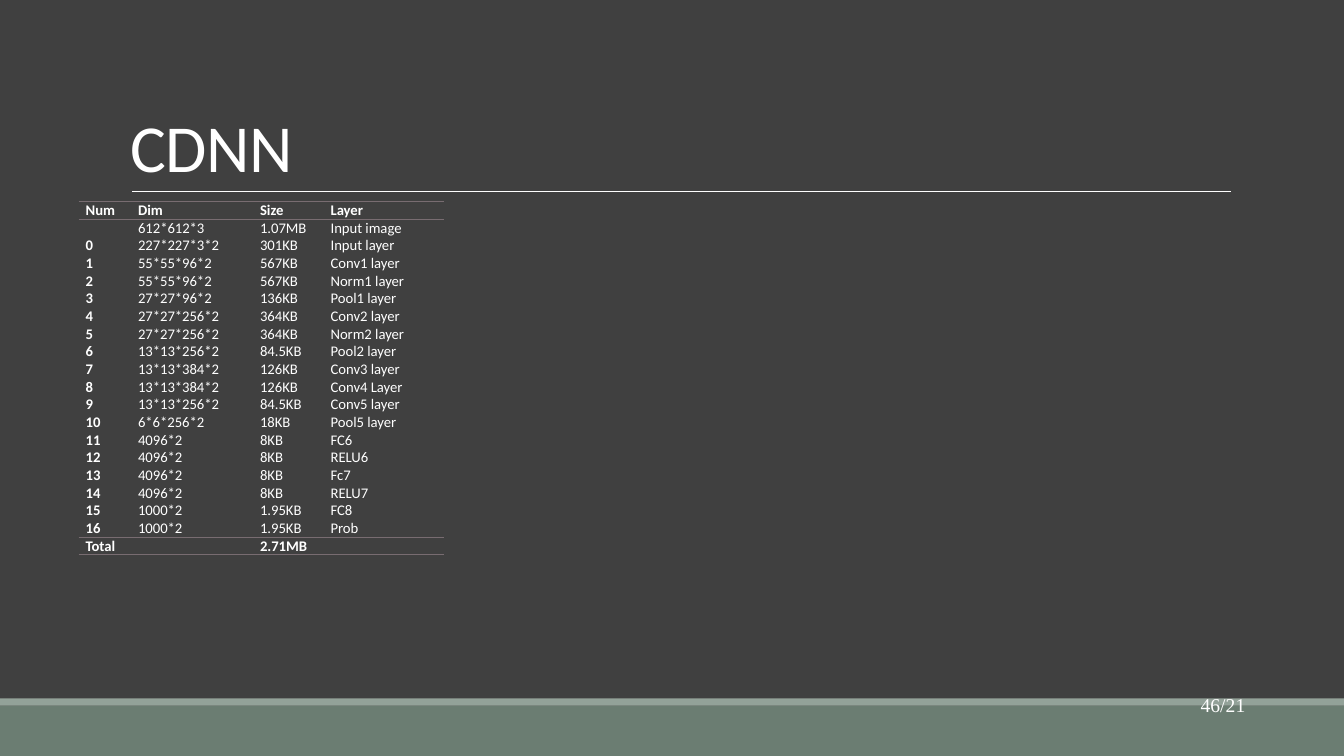
from lxml import etree
from pptx import Presentation
from pptx import util as u
from pptx.dml.color import RGBColor
from pptx.enum import shapes, text
from pptx.oxml import ns

BACKGROUND = RGBColor(0x40, 0x40, 0x40)
BAND = RGBColor(0x6B, 0x7D, 0x72)
BAND_EDGE = RGBColor(0x93, 0xA2, 0x99)
TABLE_RULE = RGBColor(0x78, 0x6C, 0x71)
WHITE = RGBColor(0xFF, 0xFF, 0xFF)

WIDTH, HEIGHT = 13.33, 7.5
NO_STYLE = "{2D5ABB26-0587-4C30-8999-92F81FD0307C}"

COLUMNS = (0.52, 1.21, 0.7, 1.19)
HEADER = ("Num", "Dim", "Size", "Layer ")
LAYERS = (
    ("612*612*3", "1.07MB", "Input image"),
    ("227*227*3*2", "301KB", "Input layer"),
    ("55*55*96*2", "567KB", "Conv1 layer"),
    ("55*55*96*2", "567KB", "Norm1 layer"),
    ("27*27*96*2", "136KB", "Pool1 layer"),
    ("27*27*256*2", "364KB", "Conv2 layer"),
    ("27*27*256*2", "364KB", "Norm2 layer"),
    ("13*13*256*2", "84.5KB", "Pool2 layer"),
    ("13*13*384*2", "126KB", "Conv3 layer"),
    ("13*13*384*2", "126KB", "Conv4 Layer"),
    ("13*13*256*2", "84.5KB", "Conv5 layer"),
    ("6*6*256*2", "18KB", "Pool5 layer"),
    ("4096*2", "8KB", "FC6"),
    ("4096*2", "8KB", "RELU6"),
    ("4096*2", "8KB", "Fc7"),
    ("4096*2", "8KB", "RELU7"),
    ("1000*2", "1.95KB", "FC8"),
    ("1000*2", "1.95KB", "Prob"),
)
TOTAL = ("Total", "", "2.71MB", "")


def inches(*lengths):
    return [u.Inches(length) for length in lengths]


def set_all(target, values):
    for name, value in values.items():
        setattr(target, name, value)


def write(paragraph, words, size, name="Calibri", bold=False):
    """Add one white run; an empty paragraph only gets its line height."""
    if not words:
        paragraph._p.get_or_add_endParaRPr().set("sz", str(int(size * 100)))
        return None
    run = paragraph.add_run()
    run.text = words
    set_all(run.font, {"size": u.Pt(size), "name": name, "bold": bold})
    run.font.color.rgb = WHITE
    return run


def add_text_box(slide, box, anchor):
    """Return the first paragraph of a new wrapped text box."""
    frame = slide.shapes.add_textbox(*inches(*box)).text_frame
    set_all(frame, {"word_wrap": True, "vertical_anchor": anchor})
    return frame.paragraphs[0]


def add_footer(slide, box, edge, page):
    left, top, width, height = box
    bands = (((left, top + edge, width, height - edge), BAND),
             ((left, top, width, edge), BAND_EDGE))
    for place, color in bands:
        band = slide.shapes.add_shape(shapes.MSO_SHAPE.RECTANGLE, *inches(*place))
        band.shadow.inherit = False
        band.fill.solid()
        band.fill.fore_color.rgb = color
        band.line.fill.background()
    page_box = (left + width - 3.66, top - 0.1, 2.78, 0.5)
    paragraph = add_text_box(slide, page_box, text.MSO_ANCHOR.TOP)
    paragraph.alignment = text.PP_ALIGN.RIGHT
    write(paragraph, page, 14, "Times New Roman")


def add_title(slide, box, words):
    """Place the title at the foot of its box, with a rule below it."""
    left, top, width, height = box
    paragraph = add_text_box(slide, box, text.MSO_ANCHOR.BOTTOM)
    paragraph.line_spacing = 0.85
    write(paragraph, words, 48).font._element.set("spc", "-50")
    bottom = top + height
    rule = slide.shapes.add_connector(
        shapes.MSO_CONNECTOR.STRAIGHT,
        *inches(left + 0.11, bottom, left + width + 0.01, bottom))
    rule.line.color.rgb = WHITE
    rule.line.width = u.Pt(0.5)
    etree.SubElement(rule._element.spPr, ns.qn("a:effectLst"))


def add_cell_rules(cell):
    """Draw the top and bottom borders of a cell."""
    properties = cell._tc.get_or_add_tcPr()
    for side in ("a:lnT", "a:lnB"):
        line = etree.SubElement(properties, ns.qn(side), w=str(u.Pt(1)))
        fill = etree.SubElement(line, ns.qn("a:solidFill"))
        etree.SubElement(fill, ns.qn("a:srgbClr"), val=str(TABLE_RULE))


def add_layer_table(slide, box):
    numbers = ["", *map(str, range(len(LAYERS) - 1))]
    rows = [HEADER, *((n, *layer) for n, layer in zip(numbers, LAYERS)), TOTAL]
    frame = slide.shapes.add_table(len(rows), len(COLUMNS), *inches(*box))
    table = frame.table
    set_all(table, {"first_row": False, "horz_banding": False})
    table._tbl.tblPr.find(ns.qn("a:tableStyleId")).text = NO_STYLE
    for column, width in zip(table.columns, COLUMNS):
        column.width = u.Inches(width)
    side = u.Inches(0.07)
    for r, values in enumerate(rows):
        outer = r in (0, len(rows) - 1)
        for c, value in enumerate(values):
            cell = table.cell(r, c)
            set_all(cell, {"margin_left": side, "margin_right": side,
                           "margin_top": 0, "margin_bottom": 0})
            if outer:
                add_cell_rules(cell)
            cell.fill.background()
            paragraph = cell.text_frame.paragraphs[0]
            paragraph.alignment = text.PP_ALIGN.JUSTIFY
            write(paragraph, value, 10.5, bold=outer or c == 0)


def main():
    presentation = Presentation()
    set_all(presentation, {"slide_width": u.Inches(WIDTH),
                           "slide_height": u.Inches(HEIGHT)})
    slide = presentation.slides.add_slide(presentation.slide_layouts[6])
    slide.background.fill.solid()
    slide.background.fill.fore_color.rgb = BACKGROUND
    add_footer(slide, (0, 6.93, WIDTH, HEIGHT - 6.93), 0.07, "46/21")
    add_title(slide, (1.2, 0.31, 11, 1.59), "CDNN")
    add_layer_table(slide, (0.78, 2, sum(COLUMNS), 3.5))
    presentation.save("out.pptx")


if __name__ == "__main__":
    main()
